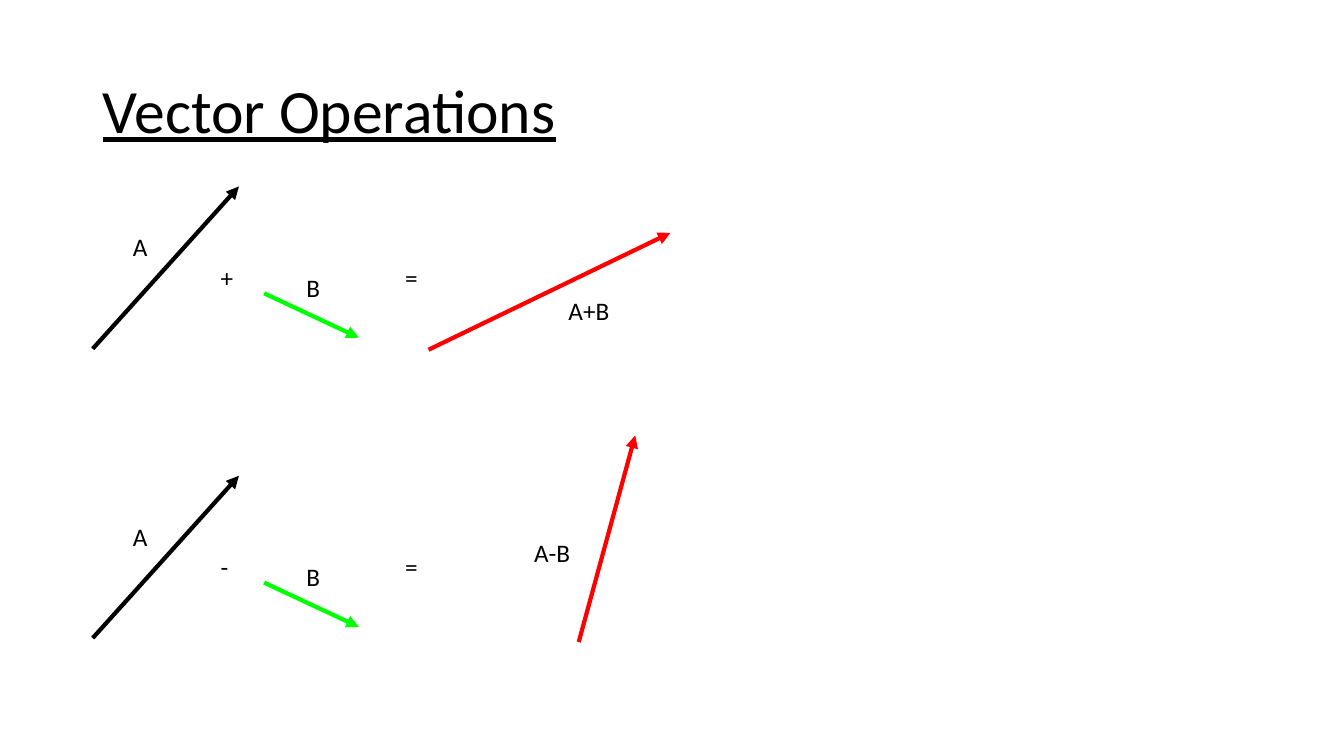
from dataclasses import dataclass

import pptx
import pptx.dml.color
import pptx.enum.dml
import pptx.enum.shapes
import pptx.enum.text
import pptx.oxml
import pptx.oxml.ns
import pptx.slide
import pptx.util

PX = 9144  # EMU per px, 100 px to the inch
ROW_STEP = 287
COLORS = {"black": "000000", "green": "00FF00", "red": "FF0000"}


@dataclass(frozen=True)
class Label:
    text: str
    left: int
    top: int
    width: int = 50
    height: int = 40


@dataclass(frozen=True)
class Vector:
    x1: int
    y1: int
    x2: int
    y2: int
    color: str


@dataclass(frozen=True)
class Operation:
    sign: str
    result: Vector
    result_label: Label


TITLE = Label("Vector Operations", 92, 40, 1150, 145)
OPERAND_VECTORS = (
    Vector(92, 346, 237, 185, "black"),
    Vector(262, 291, 356, 335, "green"),
)
OPERATIONS = (
    Operation("+", Vector(425, 347, 665, 231, "red"), Label("A+B", 554, 288, 76)),
    Operation("-", Vector(574, 637, 630, 432, "red"), Label("A-B", 520, 528, 64)),
)


def rgb(name: str) -> pptx.dml.color.RGBColor:
    return pptx.dml.color.RGBColor.from_string(COLORS[name])


def add_text(slide: pptx.slide.Slide, label: Label, dy: int = 0,
             size: int = 18) -> pptx.util.Length:
    """Add black Calibri text, dy px below the label's own place."""
    sp = slide.shapes.add_textbox(label.left * PX, (label.top + dy) * PX,
                                  label.width * PX, label.height * PX)
    tf = sp.text_frame
    tf.word_wrap = True
    r = tf.paragraphs[0].add_run()
    r.text = label.text
    r.font.name = "Calibri"
    r.font.size = pptx.util.Pt(size)
    r.font.color.rgb = rgb("black")
    return tf


def add_title(slide: pptx.slide.Slide) -> None:
    tf = add_text(slide, TITLE, size=44)
    tf.vertical_anchor = pptx.enum.text.MSO_ANCHOR.MIDDLE
    p = tf.paragraphs[0]
    p.line_spacing = 0.9
    p.runs[0].font.underline = True


def add_label(slide: pptx.slide.Slide, label: Label, dy: int = 0) -> None:
    tf = add_text(slide, label, dy)
    tf.auto_size = pptx.enum.text.MSO_AUTO_SIZE.SHAPE_TO_FIT_TEXT


def add_vector(slide: pptx.slide.Slide, vector: Vector, dy: int = 0) -> None:
    sp = slide.shapes.add_connector(
        pptx.enum.shapes.MSO_CONNECTOR.STRAIGHT,
        vector.x1 * PX, (vector.y1 + dy) * PX,
        vector.x2 * PX, (vector.y2 + dy) * PX)
    sp.line.color.rgb = rgb(vector.color)
    sp.line.width = pptx.util.Pt(3)
    ns = pptx.oxml.ns.nsdecls("a")
    sp.line._get_or_add_ln().append(
        pptx.oxml.parse_xml(f'<a:tailEnd {ns} type="triangle"/>'))
    sp._element.spPr.append(pptx.oxml.parse_xml(f"<a:effectLst {ns}/>"))


def add_operation(slide: pptx.slide.Slide, operation: Operation, dy: int) -> None:
    labels = (
        Label("A", 122, 225),
        Label("B", 294, 265),
        Label(operation.sign, 209, 255),
        Label("=", 392, 255),
    )
    for label in labels:
        add_label(slide, label, dy)
    for vector in OPERAND_VECTORS:
        add_vector(slide, vector, dy)
    add_vector(slide, operation.result)
    add_label(slide, operation.result_label)


def main() -> None:
    prs = pptx.Presentation()
    prs.slide_width = 1333 * PX
    prs.slide_height = 750 * PX
    slide = prs.slides.add_slide(prs.slide_layouts[6])
    add_title(slide)
    for row, operation in enumerate(OPERATIONS):
        add_operation(slide, operation, row * ROW_STEP)
    prs.save("out.pptx")


if __name__ == "__main__":
    main()
